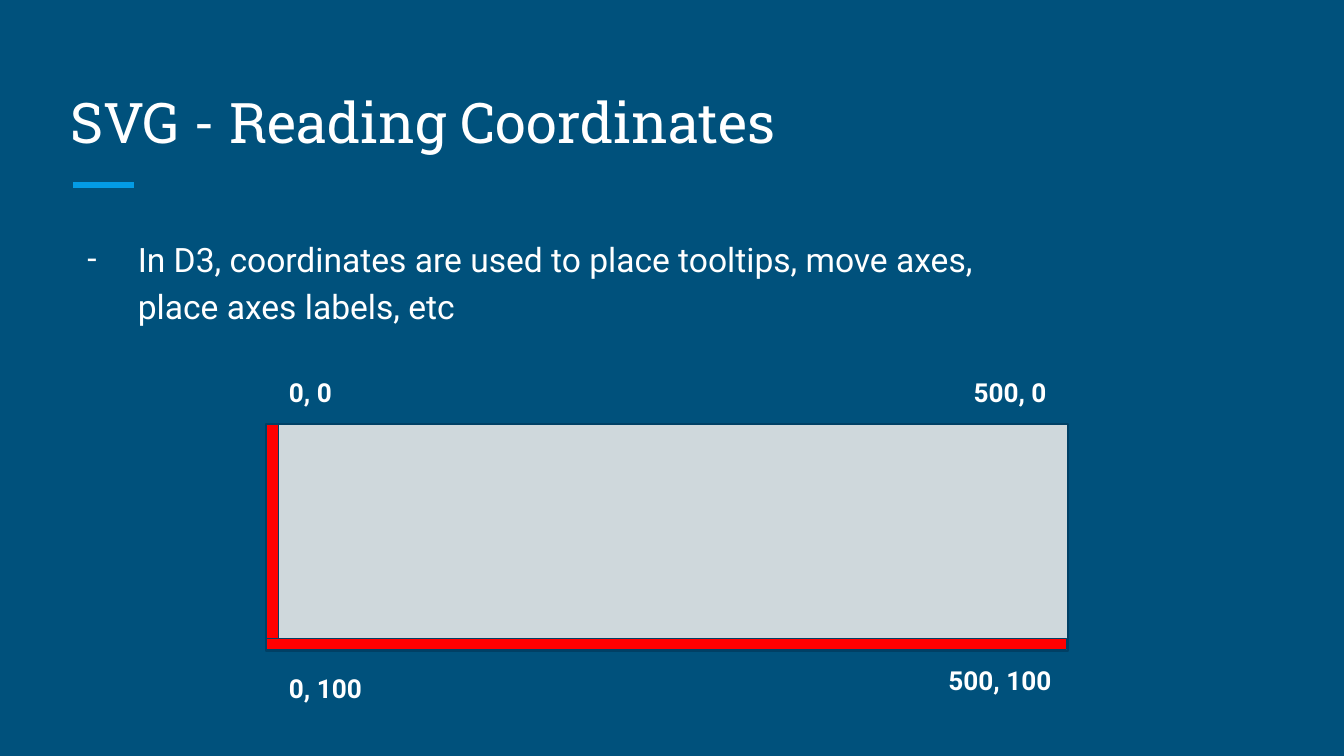
from lxml.etree import SubElement
from pptx import Presentation
from pptx.dml.color import RGBColor
from pptx.enum.shapes import MSO_CONNECTOR as Connector, MSO_SHAPE as Shape
from pptx.enum.text import MSO_ANCHOR as Anchor
from pptx.oxml.ns import qn
from pptx.util import Pt

SCALE = 9525


def px(length):
    return length * SCALE


def color(value):
    return RGBColor.from_string(value)


class SlideBuilder:
    """Holds the style and the current slide, and draws each kind of element."""

    background, ink, outline = "00517C", "FFFFFF", "004065"
    accent, panel, axis = "039BE5", "CFD8DC", "FF0000"
    heading_font, body_font = "Roboto Slab", "Roboto"
    inset = Pt(7.2)

    def __init__(self, deck):
        self.page = deck.slides.add_slide(deck.slide_layouts[6])
        fill = self.page.background.fill
        fill.solid()
        fill.fore_color.rgb = color(self.background)

    def rule(self, left, top, width):
        line = self.page.shapes.add_connector(
            Connector.STRAIGHT, px(left), px(top), px(left + width), px(top))
        line.line.color.rgb = color(self.accent)
        line.line.width = Pt(3)
        SubElement(line._element.spPr, qn("a:effectLst"))

    def text(self, words, left, top, width, height, size, font=None,
             bold=False, anchor=Anchor.TOP):
        box = self.page.shapes.add_textbox(px(left), px(top), px(width), px(height))
        frame = box.text_frame
        frame.word_wrap = True
        frame.vertical_anchor = anchor
        frame.margin_left = frame.margin_right = self.inset
        frame.margin_top = frame.margin_bottom = self.inset
        frame.text = words
        para = frame.paragraphs[0]
        for span in para.runs:
            span.font.name = font or self.body_font
            span.font.size = Pt(size)
            span.font.bold = bold
            span.font.color.rgb = color(self.ink)
        return para

    def bullet(self, words, left, top, width, height):
        para = self.text(words, left, top, width, height, 18)
        para.line_spacing = 1.15
        props = para._p.get_or_add_pPr()
        props.set("marL", str(px(48)))
        props.set("indent", str(px(-36)))
        SubElement(SubElement(props, qn("a:buClr")), qn("a:srgbClr"), val=self.ink)
        SubElement(props, qn("a:buFont"), typeface=self.body_font)
        SubElement(props, qn("a:buChar"), char="-")

    def label(self, words, left, top, width):
        self.text(words, left, top, width, 44, 14, bold=True)

    def rectangle(self, left, top, width, height, fill):
        shape = self.page.shapes.add_shape(
            Shape.RECTANGLE, px(left), px(top), px(width), px(height))
        shape.shadow.inherit = False
        shape.fill.solid()
        shape.fill.fore_color.rgb = color(fill)
        shape.line.color.rgb = color(self.outline)
        shape.line.width = Pt(0.75)


def main():
    deck = Presentation()
    deck.slide_width, deck.slide_height = px(960), px(540)
    slide = SlideBuilder(deck)

    slide.rule(52, 132, 44)
    slide.text("SVG - Reading Coordinates", 41, 48, 878, 72, 30,
               font=slide.heading_font, anchor=Anchor.BOTTOM)
    slide.bullet("In D3, coordinates are used to place tooltips, move axes,\v"
                 "place axes labels, etc", 41, 157, 878, 324)

    slide.rectangle(197, 303, 566, 162, slide.panel)
    slide.rectangle(190, 303, 9, 162, slide.axis)
    slide.rectangle(190, 456, 572, 8, slide.axis)

    for words, left, top, width in (
        ("0, 0", 197, 259, 53),
        ("500, 0", 686, 259, 78),
        ("500, 100", 668, 465, 96),
        ("0, 100", 197, 471, 96),
    ):
        slide.label(words, left, top, width)

    deck.save("out.pptx")


if __name__ == "__main__":
    main()
